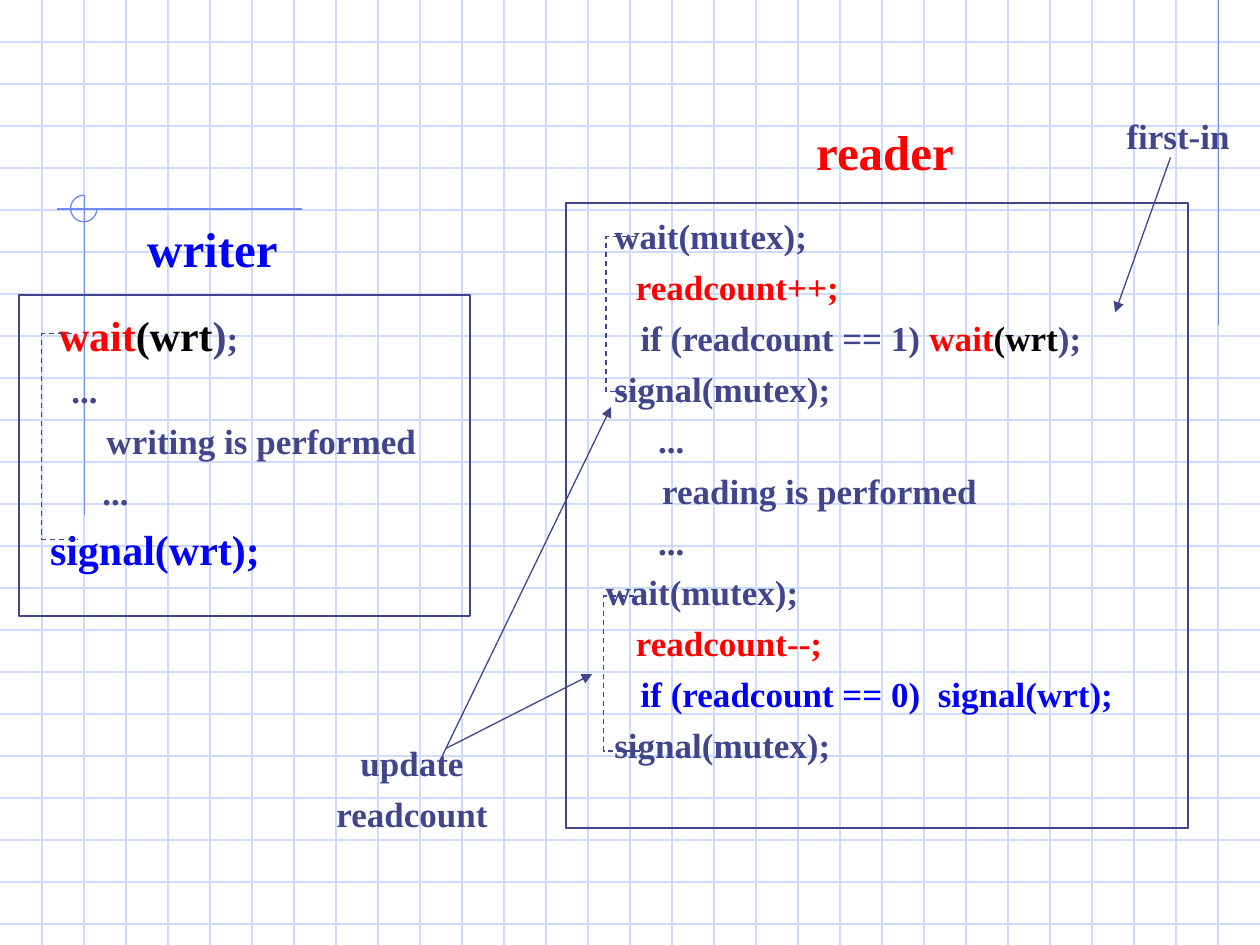
import pptx
import pptx.dml.color
import pptx.enum.dml
import pptx.enum.shapes
import pptx.enum.text
import pptx.oxml
import pptx.oxml.ns
import pptx.util
from pptx.util import Inches

SHAPES = pptx.enum.shapes.MSO_SHAPE
INK, RED, BLUE, BLACK = "40458C", "FF0000", "0000FF", "000000"
GRID, GUIDE = "CFDBFD", "6F89F7"
FONT = "Times New Roman"
SLIDE_BOX = (0, 0, 10, 7.5)
WRITER_BOX = (0.15, 2.34, 3.58, 2.55)
READER_BOX = (4.49, 1.61, 4.94, 4.96)

WRITER_CODE = [
    [("    ", INK, 20), ("wait", RED, 24), ("(wrt", BLACK, 24), (")", INK, 24), (";", INK, 20)],
    [("   \t ...", INK, 20)],
    [("   \t     writing is performed", INK, 20)],
    [("         ...", INK, 20)],
    [("   ", INK, 20), ("signal(wrt);", BLUE, 24)],
]
READER_CODE = [
    [("    wait(mutex);", INK, 20)],
    [("   \t  ", INK, 20), ("readcount++;", RED, 20)],
    [("       if (readcount == 1) ", INK, 20), ("wait", RED, 20), ("(wrt", BLACK, 20), (");", INK, 20)],
    [("    signal(mutex);", INK, 20)],
    [("         ...", INK, 20)],
    [("   \t     reading is performed", INK, 20)],
    [("         ...", INK, 20)],
    [("   wait(mutex);", INK, 20)],
    [("   \t  ", INK, 20), ("readcount--;", RED, 20)],
    [("       ", INK, 20), ("if (readcount == 0)  signal(wrt);", BLUE, 20)],
    [("    signal(mutex);", INK, 20)],
]


def rgb(value):
    return pptx.dml.color.RGBColor.from_string(value)


def set_line(sp, color, width=0.75):
    sp.line.color.rgb = rgb(color)
    sp.line.width = pptx.util.Pt(width)


def outline(sp, color, width=0.75):
    sp.shadow.inherit = False
    sp.fill.background()
    set_line(sp, color, width)


def add_line(s, x1, y1, x2, y2, color, arrow=False):
    sp = s.shapes.add_connector(pptx.enum.shapes.MSO_CONNECTOR.STRAIGHT,
                                Inches(x1), Inches(y1), Inches(x2), Inches(y2))
    set_line(sp, color)
    if arrow:
        tail = pptx.oxml.parse_xml('<a:tailEnd %s type="triangle"/>' % pptx.oxml.ns.nsdecls("a"))
        sp.line._get_or_add_ln().append(tail)
    sp._element.spPr.append(pptx.oxml.parse_xml("<a:effectLst %s/>" % pptx.oxml.ns.nsdecls("a")))


def add_text(s, box, lines, hanging=0, centered=False):
    tf = s.shapes.add_textbox(*map(Inches, box)).text_frame
    tf.word_wrap = False
    for i, runs in enumerate(lines):
        p = tf.paragraphs[0] if i == 0 else tf.add_paragraph()
        p.line_spacing = 0.9
        p.space_before = pptx.util.Pt(0.375 * runs[-1][2] if i else 0)
        if centered:
            p.alignment = pptx.enum.text.PP_ALIGN.CENTER
        if hanging:
            pPr = p._p.get_or_add_pPr()
            pPr.set("marL", str(Inches(hanging)))
            pPr.set("indent", str(-Inches(hanging)))
        p.font.name = FONT
        p.font.bold = True
        for text, color, size in runs:
            r = p.add_run()
            r.text = text
            r.font.size = pptx.util.Pt(size)
            r.font.color.rgb = rgb(color)


def add_bracket(s, x, y, height):
    points = [(x, y), (x, y + height), (x + 0.29, y + height)]
    builder = s.shapes.build_freeform(Inches(x + 0.24), Inches(y))
    builder.add_line_segments([(Inches(px), Inches(py)) for px, py in points], close=False)
    sp = builder.convert_to_shape()
    outline(sp, INK)
    sp.line.dash_style = pptx.enum.dml.MSO_LINE.DASH


def add_background(s, box):
    left, top, width, height = box
    step = 1 / 3
    for i in range(1, int(height / step) + 1):
        add_line(s, left, top + i * step, left + width, top + i * step, GRID)
    for i in range(1, int(width / step)):
        add_line(s, left + i * step, top, left + i * step, top + height, GRID)
    add_line(s, left + 9.67, top, left + 9.67, top + 2.58, GUIDE)
    add_line(s, left + 2.4, top + 1.66, left + 0.45, top + 1.66, GUIDE)
    add_line(s, left + 0.67, top + 1.55, left + 0.67, top + 4.09, GUIDE)
    arc = s.shapes.add_shape(SHAPES.ARC, Inches(left + 0.56), Inches(top + 1.55),
                             Inches(0.21), Inches(0.21))
    arc.adjustments[0] = 0
    arc.adjustments[1] = 270 * 0.6
    outline(arc, GUIDE)


def add_code_panel(s, box, heading, heading_box, code, code_box, brackets):
    left, top = box[:2]
    outline(s.shapes.add_shape(SHAPES.RECTANGLE, *map(Inches, box)), INK, 1)
    for (dx, dy, w, h), lines, hanging in ((code_box, code, 0.31), (heading_box, [[heading]], 0)):
        add_text(s, (left + dx, top + dy, w, h), lines, hanging)
    for dx, dy, height in brackets:
        add_bracket(s, left + dx, top + dy, height)


def add_callout(s, box, lines, arrows):
    left, top = box[:2]
    add_text(s, box, [[(line, INK, 20)] for line in lines], centered=True)
    for dx, dy, x, y in arrows:
        add_line(s, left + dx, top + dy, x, y, INK, arrow=True)


def main():
    prs = pptx.Presentation()
    prs.slide_width, prs.slide_height = Inches(10), Inches(7.5)
    s = prs.slides.add_slide(prs.slide_layouts[6])
    s.background.fill.solid()
    s.background.fill.fore_color.rgb = rgb("FFFFFF")
    add_background(s, SLIDE_BOX)
    add_code_panel(s, READER_BOX, ("reader", RED, 28), (1.89, -0.64, 1.3, 0.52),
                   READER_CODE, (0.01, 0.08, 5.07, 4.44),
                   [(0.32, 0.27, 1.23), (0.3, 3.12, 1.23)])
    add_code_panel(s, WRITER_BOX, ("writer", BLUE, 28), (0.92, -0.6, 1.3, 0.52),
                   WRITER_CODE, (-0.06, 0.11, 3.94, 2.64), [(0.18, 0.31, 1.63)])
    add_callout(s, (2.57, 5.87, 1.4, 0.81), ["update", "readcount"],
                [(0.97, 0.07, 4.7, 5.35), (0.94, 0.13, 4.85, 3.23)])
    add_callout(s, (8.84, 0.9, 1.02, 0.4), ["first-in"], [(0.45, 0.35, 8.85, 2.48)])
    prs.save("out.pptx")


if __name__ == "__main__":
    main()
